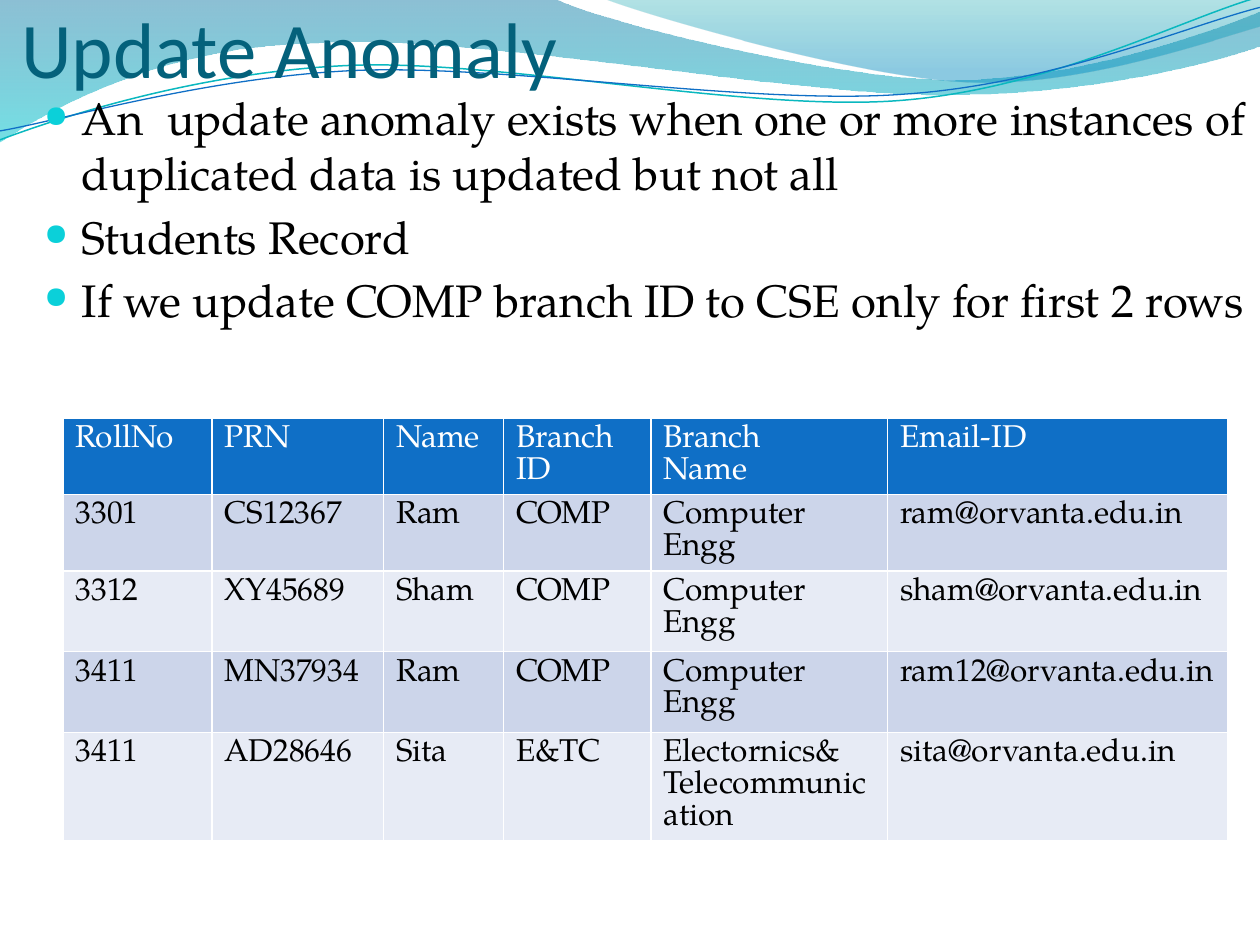
from lxml import etree
from pptx import Presentation
from pptx.dml.color import RGBColor
from pptx.enum.text import MSO_ANCHOR, MSO_AUTO_SIZE, PP_ALIGN
from pptx.oxml.ns import qn
from pptx.util import Cm, Pt

BOTTOM = MSO_ANCHOR.BOTTOM
NO_AUTOFIT = MSO_AUTO_SIZE.NONE
LEFT, JUSTIFY = PP_ALIGN.LEFT, PP_ALIGN.JUSTIFY

WHITE = RGBColor(0xFF, 0xFF, 0xFF)
BLACK = RGBColor(0x00, 0x00, 0x00)
TITLE_TEAL = RGBColor(0x04, 0x61, 0x7B)
BULLET_CYAN = RGBColor(0x0B, 0xD0, 0xD9)
BLUE = RGBColor(0x0F, 0x6F, 0xC6)
LINE_TEAL = RGBColor(0x0A, 0xB8, 0xBF)
DEEP_BLUE = RGBColor(0x00, 0x74, 0xA1)
BRIGHT_CYAN = RGBColor(0x00, 0xC6, 0xCF)
SEA_GREEN = RGBColor(0x00, 0xA1, 0xA9)
SKY_BLUE = RGBColor(0x00, 0x8B, 0xBF)
BAND_DARK = RGBColor(0xCC, 0xD5, 0xEA)
BAND_LIGHT = RGBColor(0xE7, 0xEB, 0xF5)

TITLE_FONT, BODY_FONT = "Calibri", "TeX Gyre Pagella"

LEFT_WAVE = [
    [(0, 0)], [(11.18, -0.03)],
    [(12.09, 0.43), (16.87, 1.6), (19.25, 1.6)],
    [(21.67, 1.6), (24.33, 0.66), (25.4, 0.23)],
    [(25.43, 0.91)],
    [(24.97, 1.12), (22.1, 1.93), (18.95, 1.91)],
    [(15.8, 1.91), (9.7, 0.71), (6.53, 0.86)],
    [(3.28, 0.91), (1.17, 2.11), (-0.03, 2.87)],
]
RIGHT_WAVE = [
    [(12.17, -0.03)],
    [(12.93, 0.28), (17.32, 1.57), (19.53, 1.65)],
    [(21.74, 1.75), (24.41, 0.81), (25.4, 0.53)],
    [(25.4, 0)],
]
TEAL_LINE = [
    [(0, 2.82)],
    [(1.22, 2.36), (4.01, 1.45), (7.04, 1.32)],
    [(10.03, 1.19), (15.06, 2.26), (18.11, 2.03)],
    [(21.16, 1.8), (23.83, 0.38), (25.35, -0.05)],
]
BLUE_LINE = [
    [(0, 2.64)],
    [(1.19, 2.44), (4.17, 1.55), (7.19, 1.42)],
    [(10.24, 1.3), (15.16, 2.13), (18.21, 1.9)],
    [(21.23, 1.7), (23.9, 0.53), (25.4, 0.15)],
]

POINTS = [
    "An  update anomaly exists when one or more instances of duplicated data is updated but not all",
    "Students Record",
    "If we update COMP branch ID to CSE only for first 2 rows",
]
STUDENTS = [
    ["RollNo", "PRN", "Name", "Branch ID", "Branch\nName", "Email-ID"],
    ["3301", "CS12367", "Ram", "COMP", "Computer Engg", "ram@orvanta.edu.in"],
    ["3312", "XY45689", "Sham", "COMP", "Computer Engg", "sham@orvanta.edu.in"],
    ["3411", "MN37934", "Ram", "COMP", "Computer Engg", "ram12@orvanta.edu.in"],
    ["3411", "AD28646", "Sita", "E&TC", "Electornics& Telecommunication", "sita@orvanta.edu.in"],
]
COLUMN_WIDTHS = [3, 3.46, 2.42, 2.97, 4.77, 6.86]
ROW_HEIGHTS = [0.97, 0.97, 1.63, 1.63, 0.97]


def bend(shape, segments):
    """Turn each three-point segment of an outline into a cubic curve."""
    lines = iter(list(shape.element.iter(qn("a:lnTo"))))
    for segment in segments[1:]:
        steps = [next(lines) for _ in segment]
        if len(steps) == 3:
            curve = etree.Element(qn("a:cubicBezTo"))
            steps[0].addprevious(curve)
            for step in steps:
                curve.append(step[0])
                step.getparent().remove(step)


def add_outline(page, segments, close):
    """Add a curved freeform without a shadow."""
    start, *rest = [(Cm(x), Cm(y)) for segment in segments for x, y in segment]
    builder = page.shapes.build_freeform(*start)
    builder.add_line_segments(rest, close=close)
    shape = builder.convert_to_shape()
    shape.shadow.inherit = False
    bend(shape, segments)
    return shape


def add_wave(page, segments, stops):
    """Add a wave with a translucent gradient from top to bottom."""
    wave = add_outline(page, segments, True)
    wave.line.fill.background()
    wave.fill.gradient()
    wave.fill.gradient_angle = 270
    for stop, (position, color, _) in zip(wave.fill.gradient_stops, stops):
        stop.position = position
        stop.color.rgb = color
    for color_node, (_, _, opacity) in zip(wave.element.iter(qn("a:srgbClr")), stops):
        etree.SubElement(color_node, qn("a:alpha"), val=str(opacity * 1000))


def add_wave_line(page, segments, color, width):
    """Add an unfilled curved line."""
    curve = add_outline(page, segments, False)
    curve.fill.background()
    curve.line.color.rgb = color
    curve.line.width = Pt(width)


def set_font(para, name, size, color):
    """Set the font of a paragraph."""
    para.font.name = name
    para.font.size = Pt(size)
    para.font.color.rgb = color


def format_title(title):
    """Place the title in front of the waves and fill it."""
    title.element.getparent().append(title.element)
    title.left, title.top, title.width, title.height = Cm(0.43), Cm(0.2), Cm(22.86), Cm(1.7)
    frame = title.text_frame
    frame.text = "Update Anomaly"
    frame.auto_size = NO_AUTOFIT
    frame.vertical_anchor = BOTTOM
    frame.margin_left = frame.margin_right = frame.margin_bottom = 0
    para = frame.paragraphs[0]
    para.alignment = LEFT
    set_font(para, TITLE_FONT, 45, TITLE_TEAL)


def add_bullet(para):
    """Give a paragraph a hanging coloured bullet."""
    properties = para._p.get_or_add_pPr()
    properties.set("marL", str(Cm(0.76)))
    properties.set("indent", str(-Cm(0.76)))
    color = etree.Element(qn("a:buClr"))
    etree.SubElement(color, qn("a:srgbClr"), val=str(BULLET_CYAN))
    size = etree.Element(qn("a:buSzPct"), val="67000")
    mark = etree.Element(qn("a:buChar"), char="●")
    properties.find(qn("a:defRPr")).addprevious(color)
    color.addnext(size)
    size.addnext(mark)


def add_points(page):
    """Add the bulleted text."""
    box = page.shapes.add_textbox(Cm(0.64), Cm(1.7), Cm(24.76), Cm(17.35))
    frame = box.text_frame
    frame.word_wrap = True
    frame.text = "\n".join(POINTS)
    for para in frame.paragraphs:
        para.alignment = JUSTIFY
        para.space_before = Pt(5.2)
        set_font(para, BODY_FONT, 26, BLACK)
        add_bullet(para)


def set_borders(cell):
    """Draw white borders round a cell."""
    properties = cell._tc.get_or_add_tcPr()
    for side in "LRTB":
        border = etree.SubElement(properties, qn(f"a:ln{side}"), w=str(Pt(1)))
        fill = etree.SubElement(border, qn("a:solidFill"))
        etree.SubElement(fill, qn("a:srgbClr"), val=str(WHITE))


def add_student_table(page):
    """Add the banded table of students."""
    frame = page.shapes.add_table(
        len(STUDENTS), len(COLUMN_WIDTHS), Cm(1.27), Cm(8.43),
        Cm(sum(COLUMN_WIDTHS)), Cm(sum(ROW_HEIGHTS)))
    table = frame.table
    for column, width in zip(table.columns, COLUMN_WIDTHS):
        column.width = Cm(width)
    for index, (row, height, texts) in enumerate(zip(table.rows, ROW_HEIGHTS, STUDENTS)):
        row.height = Cm(height)
        header = index == 0
        band = BAND_DARK if index % 2 else BAND_LIGHT
        for cell, text in zip(row.cells, texts):
            cell.text = text
            set_borders(cell)
            cell.fill.solid()
            cell.fill.fore_color.rgb = BLUE if header else band
            for para in cell.text_frame.paragraphs:
                para.line_spacing = Pt(18.2)
                set_font(para, BODY_FONT, 18, WHITE if header else BLACK)


def main():
    """Build the slide and save the deck."""
    deck = Presentation()
    deck.slide_width, deck.slide_height = Cm(25.4), Cm(19.05)
    page = deck.slides.add_slide(deck.slide_layouts[5])
    add_wave(page, LEFT_WAVE, [(0, DEEP_BLUE, 45), (1, BRIGHT_CYAN, 55)])
    add_wave(page, RIGHT_WAVE, [(0, SEA_GREEN, 30), (0.8, SKY_BLUE, 45)])
    add_wave_line(page, TEAL_LINE, LINE_TEAL, 0.85)
    add_wave_line(page, BLUE_LINE, BLUE, 0.75)
    format_title(page.shapes.title)
    add_points(page)
    add_student_table(page)
    deck.save("out.pptx")


if __name__ == "__main__":
    main()
